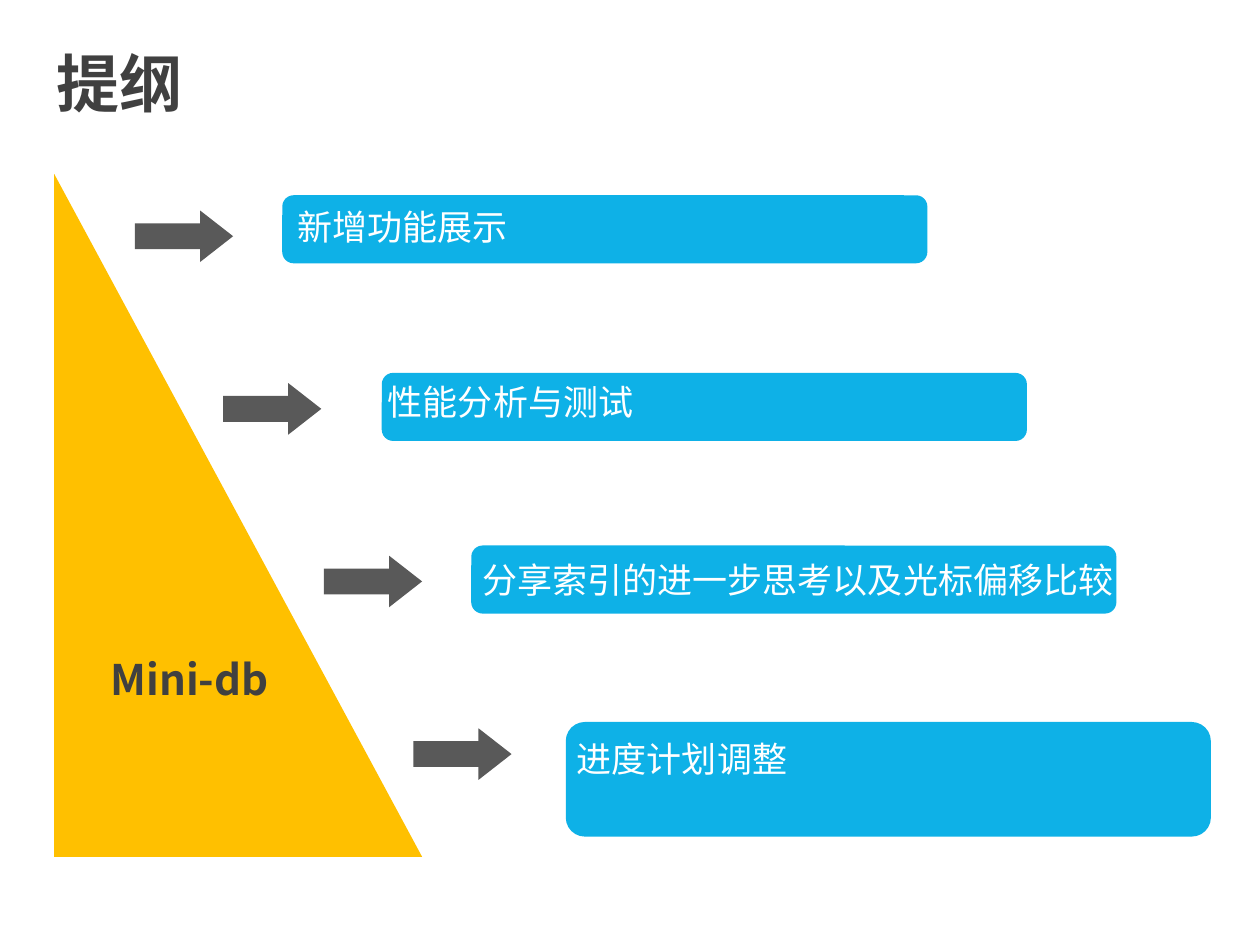
from pptx import Presentation
from pptx.dml.color import RGBColor
from pptx.enum.shapes import MSO_SHAPE as SHAPE
from pptx.enum.text import MSO_ANCHOR as ANCHOR, PP_ALIGN as ALIGN
from pptx.oxml.ns import qn
from pptx.util import Inches, Pt
from lxml import etree

FONT = "Noto Sans CJK SC"
COLORS = {"dark": "404040", "arrow": "595959", "wedge": "FFC000",
          "bar": "0EB1E7", "white": "FFFFFF"}

HEADING = {"size": Pt(36), "bold": True}
LABEL = {"size": Pt(24), "bold": True}
ITEM = {"size": Pt(20), "bold": False}

ARROW_TOP, ARROW_STEP = 1.67, 1.37
BAR_WIDTH = 5.12
HANGING = Inches(0.38)

# arrow left, bar (left, top, height), text box (left, top, width, height), text
TOPICS = [
    (1.07, (2.24, 1.55, 0.54), (2.26, 1.58, 3.74, 0.42), "新增功能展示"),
    (1.77, (3.03, 2.96, 0.54), (2.98, 2.97, 4.35, 0.42), "性能分析与测试"),
    (2.57, (3.74, 4.33, 0.54), (3.73, 4.38, 5.28, 0.42),
     "分享索引的进一步思考以及光标偏移比较"),
    (3.28, (4.49, 5.73, 0.91), (4.48, 5.8, 5.04, 0.85), "进度计划调整"),
]


def add_block(s, kind, box, color, adjustments=()):
    """Add a plain filled shape without outline or shadow."""
    sp = s.shapes.add_shape(kind, *map(Inches, box))
    for i, value in enumerate(adjustments):
        sp.adjustments[i] = value
    sp.fill.solid()
    sp.fill.fore_color.rgb = RGBColor.from_string(COLORS[color])
    sp.line.fill.background()
    sp.shadow.inherit = False


def add_text(s, box, text, color, font, anchor=ANCHOR.MIDDLE, **spacing):
    """Add a one-paragraph text box and return its paragraph."""
    tf = s.shapes.add_textbox(*map(Inches, box)).text_frame
    tf.word_wrap = True
    tf.vertical_anchor = anchor
    p = tf.paragraphs[0]
    for name, value in {"alignment": ALIGN.LEFT, **spacing}.items():
        setattr(p, name, value)
    r = p.add_run()
    r.text = text
    for name, value in {"name": FONT, **font}.items():
        setattr(r.font, name, value)
    r.font.color.rgb = RGBColor.from_string(COLORS[color])
    # East Asian glyphs take their own typeface setting
    etree.SubElement(r.font._element, qn("a:ea"), typeface=FONT)
    return p


def add_topic(s, index, arrow_left, bar, text_box, text):
    """Add one outline entry: arrow, bar and its wording."""
    arrow_top = ARROW_TOP + index * ARROW_STEP
    add_block(s, SHAPE.RIGHT_ARROW, (arrow_left, arrow_top, 0.78, 0.41),
              "arrow", (0.5, 0.64))
    left, top, height = bar
    add_block(s, SHAPE.ROUNDED_RECTANGLE, (left, top, BAR_WIDTH, height), "bar")
    p = add_text(s, text_box, text, "white", ITEM, ANCHOR.TOP,
                 space_before=Pt(5))
    pPr = p._p.get_or_add_pPr()
    pPr.set("marL", str(HANGING))
    pPr.set("indent", str(-HANGING))


def main():
    prs = Presentation()
    prs.slide_width, prs.slide_height = Inches(10), Inches(7.5)
    s = prs.slides.add_slide(prs.slide_layouts[6])

    # Heading
    add_text(s, (0.35, 0.36, 2.68, 0.39), "提纲", "dark", HEADING,
             line_spacing=Pt(57.6))

    # Wedge with the topics along its slope
    add_block(s, SHAPE.RIGHT_TRIANGLE, (0.43, 1.38, 2.92, 5.42), "wedge")
    for index, topic in enumerate(TOPICS):
        add_topic(s, index, *topic)

    # Wedge label
    add_text(s, (0.78, 4.47, 2.68, 1.84), "Mini-db", "dark", LABEL)

    prs.save("out.pptx")


if __name__ == "__main__":
    main()
